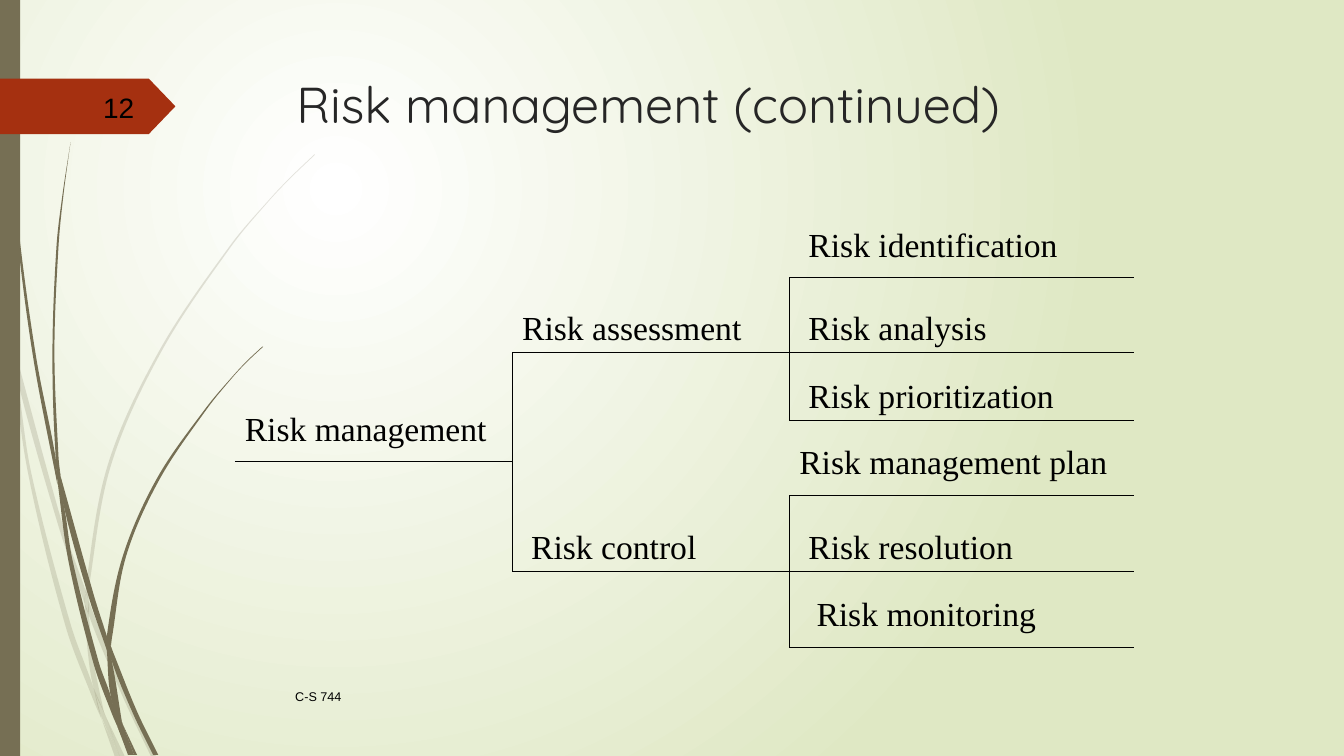
"""Build the risk management tree slide with its grass decoration."""
import math

import lxml.etree
import pptx
import pptx.dml.color
import pptx.enum.dml
import pptx.enum.shapes
import pptx.enum.text
import pptx.oxml.ns
import pptx.util

Inches = pptx.util.Inches
Pt = pptx.util.Pt
RGB = pptx.dml.color.RGBColor.from_string
qn = pptx.oxml.ns.qn
ANCHOR = pptx.enum.text.MSO_ANCHOR
ALIGN = pptx.enum.text.PP_ALIGN
SHAPE = pptx.enum.shapes.MSO_SHAPE

THEME = {
    "stem": RGB("766F54"),
    "tag": RGB("A53010"),
    "line": RGB("000000"),
    "glow": (RGB("FFFFFF"), RGB("DFE8C4")),
    "title": {"name": "Quicksand", "size": Pt(36), "color": RGB("262626")},
    "label": {"name": "Times New Roman", "size": Pt(24), "color": RGB("000000")},
    "number": {"name": "Arial", "size": Pt(20), "color": RGB("000000")},
    "footer": {"name": "Arial", "size": Pt(9), "color": RGB("000000")},
}


def curve_points(nodes):
    """Return two control points and an end point for each step between nodes."""
    slopes = []
    for i in range(len(nodes)):
        near = nodes[max(i - 1, 0):i + 2]
        span = sum(math.dist(a, b) for a, b in zip(near, near[1:]))
        slopes.append([(near[-1][k] - near[0][k]) / span for k in (0, 1)])
    points = []
    for i, (a, b) in enumerate(zip(nodes, nodes[1:])):
        reach = math.dist(a, b) / 3
        points += [tuple(a[k] + reach * slopes[i][k] for k in (0, 1)),
                   tuple(b[k] - reach * slopes[i + 1][k] for k in (0, 1)), b]
    return points


def add_text(text, box, style, **frame):
    """Add a one-line text box and return its paragraph."""
    tf = s.shapes.add_textbox(*map(Inches, box)).text_frame
    for name, value in {"word_wrap": True, **frame}.items():
        setattr(tf, name, value)
    p = tf.paragraphs[0]
    r = p.add_run()
    r.text = text
    for name, value in THEME[style].items():
        if name == "color":
            r.font.color.rgb = value
        else:
            setattr(r.font, name, value)
    return p


prs = pptx.Presentation()
prs.slide_width, prs.slide_height = Inches(13.33), Inches(7.5)
s = prs.slides.add_slide(prs.slide_layouts[6])

fill = s.background.fill
fill.gradient()
for stop, color in zip(fill.gradient_stops, THEME["glow"]):
    stop.color.rgb = color
grad = s.element.find(".//" + qn("a:gradFill"))
grad.remove(grad.find(qn("a:lin")))
glow = lxml.etree.SubElement(grad, qn("a:path"), {"path": "circle"})
lxml.etree.SubElement(glow, qn("a:fillToRect"),
                      {"l": "50000", "t": "50000", "r": "100000", "b": "100000"})

pale_blades = [
    ([(0, 2.99), (0.1, 3.44), (0.11, 3.5)], [(0, 2.82), (0.09, 3.22), (0.11, 3.5)]),
    ([(0.14, 3.45), (0.17, 3.76), (0.58, 5.22), (0.84, 5.99)],
     [(0.14, 3.45), (0.62, 5.2), (0.85, 5.86)]),
    ([(0.88, 5.96), (0.88, 6.1), (1.23, 6.94), (1.5, 7.51)],
     [(0.88, 5.96), (0.92, 6.07), (1.27, 6.92), (1.55, 7.51)]),
    ([(1.05, 7.11), (1.19, 7.51)], [(1.05, 7.11), (1.24, 7.51)]),
    ([(0.11, 3.5), (0.28, 4.7), (0.65, 6.21), (0.92, 6.93), (1.01, 7.14)],
     [(0.11, 3.5), (0.17, 3.76), (0.31, 4.69), (0.7, 6.19), (0.93, 6.83), (1.01, 7.14)]),
    ([(0.84, 5.99), (0.87, 6.46), (0.93, 6.83), (1.05, 7.11)],
     [(0.84, 5.99), (0.88, 6.1), (0.91, 6.46), (1.03, 7.06), (1.05, 7.11)]),
    ([(3.12, 1.53), (2.89, 1.75), (2.68, 1.97), (2.28, 2.44), (1.58, 3.48),
      (1.07, 4.61), (0.85, 5.84), (0.88, 5.96)],
     [(3.12, 1.54), (2.9, 1.75), (2.68, 1.98), (2.29, 2.45), (1.6, 3.49),
      (1.1, 4.62), (0.88, 5.84), (0.88, 5.96)]),
    ([(1.01, 7.14), (1.14, 7.51)], [(1.01, 7.14), (1.19, 7.51)]),
    ([(0.85, 5.86), (0.84, 5.99), (0.88, 6.1)], [(0.85, 5.86), (0.88, 5.96), (0.88, 6.1)]),
    ([(0.93, 6.83), (0.99, 7.07), (1.19, 7.51)],
     [(0.93, 6.83), (1.05, 7.11), (1.19, 7.51)]),
]
dark_blades = [
    ([(0.03, 0), (0.04, 0.48), (0.07, 1.1), (0.17, 2.33), (0.33, 3.55), (0.57, 4.81)],
     [(0.04, 0), (0.05, 0.48), (0.08, 1.09), (0.19, 2.32), (0.36, 3.55),
      (0.55, 4.53), (0.57, 4.81)]),
    ([(0.6, 4.72), (0.64, 5.05), (0.88, 5.92), (1.06, 6.45)],
     [(0.6, 4.72), (0.93, 5.9), (1.06, 6.31)]),
    ([(1.1, 6.41), (1.11, 6.56), (1.32, 7.08), (1.52, 7.49)],
     [(1.1, 6.41), (1.13, 6.49), (1.36, 7.06), (1.57, 7.49)]),
    ([(0.57, 4.77), (0.68, 5.57), (0.93, 6.59), (1.11, 7.08), (1.17, 7.22)],
     [(0.57, 4.77), (0.64, 5.05), (0.72, 5.56), (0.98, 6.57), (1.1, 6.91), (1.17, 7.22)]),
    ([(0.7, 1.41), (0.62, 1.93), (0.56, 2.45), (0.52, 3.49), (0.55, 4.49), (0.6, 4.72)],
     [(0.7, 1.41), (0.63, 1.93), (0.58, 2.45), (0.54, 3.49), (0.58, 4.53), (0.6, 4.72)]),
    ([(1.22, 7.19), (1.33, 7.49)], [(1.22, 7.19), (1.36, 7.49)]),
    ([(0.55, 4.49), (0.57, 4.77), (0.64, 5.05)], [(0.55, 4.49), (0.6, 4.72), (0.64, 5.05)]),
    ([(2.6, 3.44), (2.45, 3.58), (2.31, 3.73), (2.04, 4.05), (1.56, 4.74),
      (1.22, 5.51), (1.06, 6.31), (1.1, 6.41)],
     [(2.61, 3.44), (2.45, 3.59), (2.31, 3.74), (2.05, 4.06), (1.58, 4.76),
      (1.25, 5.52), (1.11, 6.33), (1.1, 6.41)]),
    ([(1.17, 7.22), (1.27, 7.49)], [(1.17, 7.22), (1.31, 7.49)]),
    ([(1.06, 6.45), (1.1, 6.91), (1.22, 7.19)],
     [(1.06, 6.45), (1.11, 6.56), (1.21, 7.16), (1.22, 7.19)]),
    ([(1.06, 6.31), (1.06, 6.45), (1.11, 6.56)], [(1.06, 6.31), (1.1, 6.41), (1.11, 6.56)]),
    ([(1.1, 6.91), (1.17, 7.22), (1.3, 7.49)], [(1.1, 6.91), (1.22, 7.19), (1.33, 7.49)]),
]
decor = []
for opacity, blades in ((20, pale_blades), (100, dark_blades)):
    for left, right in blades:
        tip = [left[-1], right[-1], right[-1]] if left[-1] != right[-1] else []
        outline = curve_points(left) + tip + curve_points(right[::-1])
        pen = s.shapes.build_freeform(*map(Inches, left[0]))
        pen.add_line_segments([tuple(map(Inches, xy)) for xy in outline], close=True)
        blade = pen.convert_to_shape()
        steps = blade.element.findall(".//" + qn("a:lnTo"))
        for first, second, end in zip(steps[::3], steps[1::3], steps[2::3]):
            first.tag = qn("a:cubicBezTo")
            for step in (second, end):
                first.append(step[0])
                step.getparent().remove(step)
        decor.append((blade, "stem", opacity))

bar = s.shapes.add_shape(SHAPE.RECTANGLE, 0, 0, Inches(0.2), Inches(7.5))
tag = s.shapes.add_shape(SHAPE.PENTAGON, 0, Inches(0.78), Inches(1.74), Inches(0.55))
tag.adjustments[0] = 0.48
decor += [(bar, "stem", 100), (tag, "tag", 100)]
for sp, color, opacity in decor:
    sp.shadow.inherit = False
    sp.fill.solid()
    sp.fill.fore_color.rgb = THEME[color]
    sp.line.fill.background()
    if opacity < 100:
        lxml.etree.SubElement(sp.element.spPr.find(".//" + qn("a:srgbClr")),
                              qn("a:alpha"), {"val": str(opacity * 1000)})

add_text("C-S 744", (2.83, 6.71, 8.33, 0.4), "footer", vertical_anchor=ANCHOR.MIDDLE)
number = add_text("12", (0.58, 0.86, 0.85, 0.4), "number", vertical_anchor=ANCHOR.MIDDLE)
number.alignment = ALIGN.RIGHT
add_text("Risk management (continued)", (2.84, 0.68, 9.75, 1.4), "title")

root_x, branch_x, leaf_x, end_x = 2.33, 5.08, 7.83, 11.25
root_y = 4.58
leaf_groups = [(2.75, 3.5, 4.17), (4.92, 5.67, 6.42)]
lines = [(root_x, root_y, branch_x, root_y),
         (branch_x, leaf_groups[0][1], branch_x, leaf_groups[1][1])]
for ys in leaf_groups:
    lines += [(leaf_x, y, end_x, y) for y in ys]
    lines += [(leaf_x, ys[0], leaf_x, ys[-1]), (branch_x, ys[1], leaf_x, ys[1])]
for ends in lines:
    c = s.shapes.add_connector(pptx.enum.shapes.MSO_CONNECTOR.STRAIGHT, *map(Inches, ends))
    c.line.color.rgb = THEME["line"]
    c.line.width = Pt(0.75)
    lxml.etree.SubElement(c.element.spPr, qn("a:effectLst"))

labels = [
    ("Risk management", 2.33, 4, 2.92),
    ("Risk assessment", 5.08, 3, 2.75),
    ("Risk control", 5.17, 5.17, 2.67),
    ("Risk identification", 7.92, 2.17, 3.25),
    ("Risk analysis", 7.92, 3, 3.33),
    ("Risk prioritization", 7.92, 3.67, 3.42),
    ("Risk management plan", 7.83, 4.33, 3.5),
    ("Risk resolution", 7.92, 5.17, 3.5),
    ("Risk monitoring", 8, 5.83, 3.25),
]
for text, x, y, width in labels:
    add_text(text, (x, y, width, 0.5), "label",
             auto_size=pptx.enum.text.MSO_AUTO_SIZE.SHAPE_TO_FIT_TEXT)

prs.save("out.pptx")
